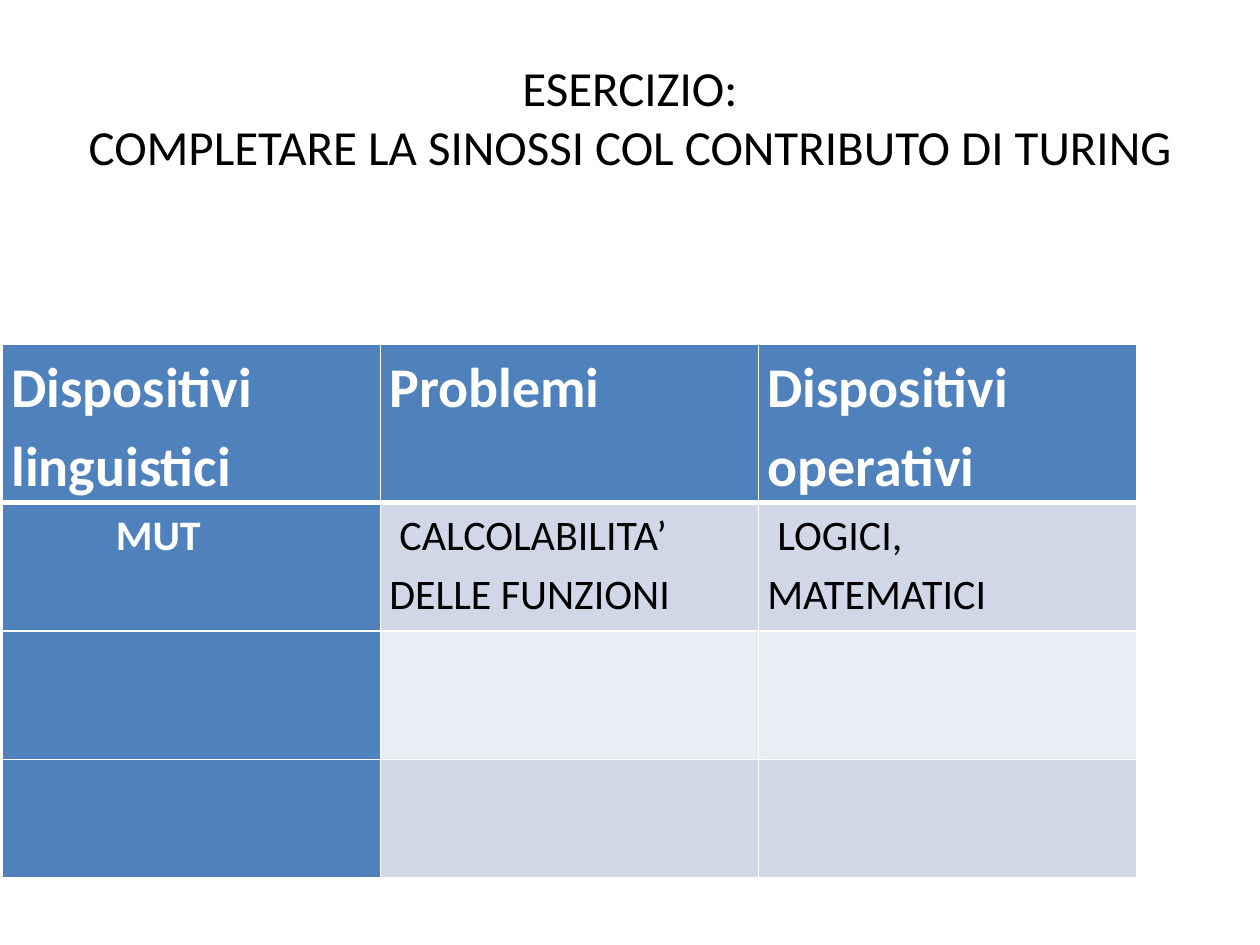
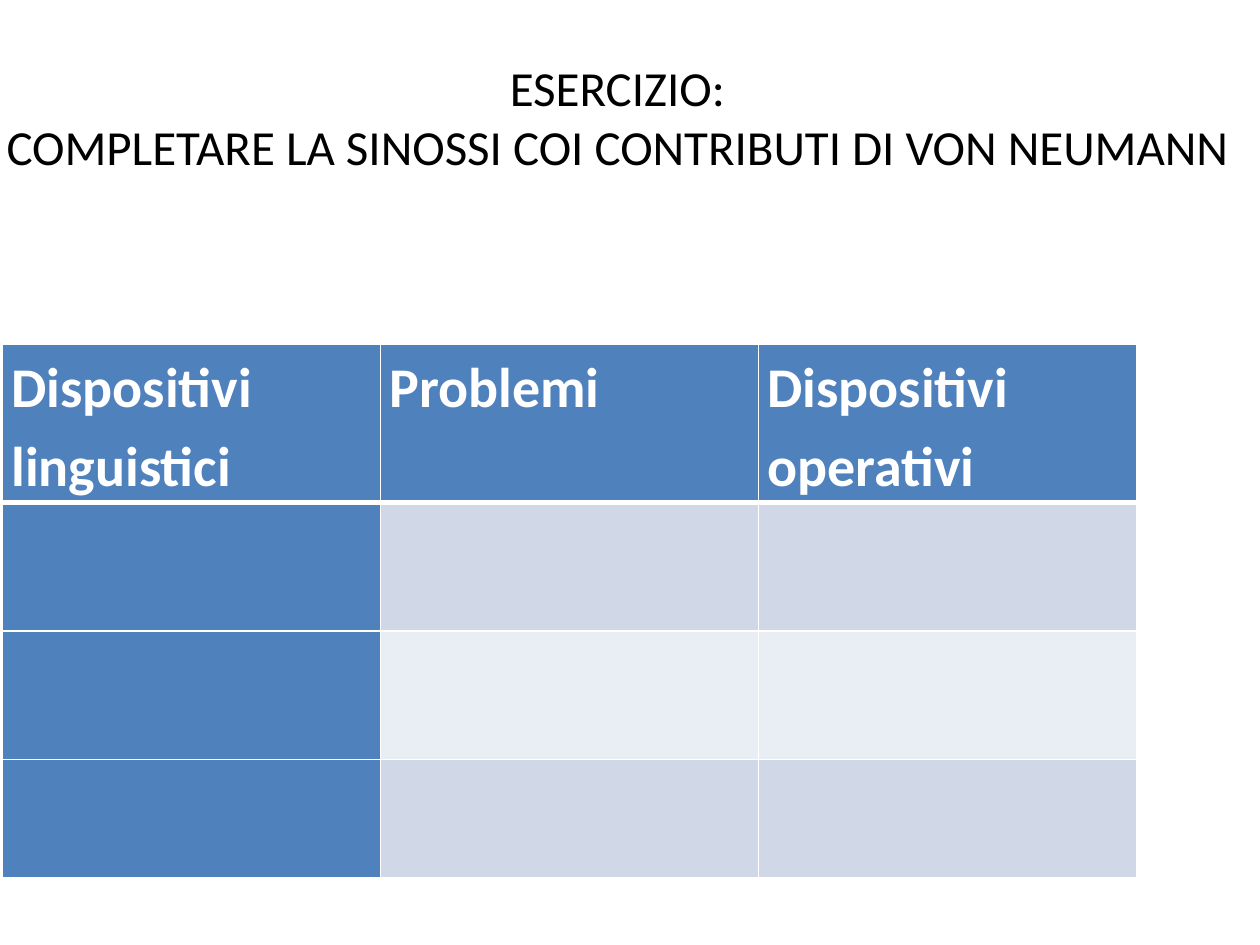
from lxml import etree
from pptx import Presentation
from pptx import util as u
from pptx.dml.color import RGBColor
from pptx.enum import text as t
from pptx.oxml import ns

HUES = {"ink": "000000", "white": "FFFFFF", "blue": "4F81BD",
        "odd": "D0D8E8", "even": "E9EDF4"}
FONT = "Calibri"
HEADS = ["Dispositivi linguistici", "Problemi", "Dispositivi operativi"]
WIDTHS = [3, 3, 3]
HEIGHTS = [1.26, 1.02, 1.02, 0.94]


def color(name):
    return RGBColor.from_string(HUES[name])


class Deck:
    def __init__(self):
        self.prs = Presentation()
        self.prs.slide_width = u.Inches(10)
        self.prs.slide_height = u.Inches(7.5)
        self.slide = None

    def page(self):
        self.slide = self.prs.slides.add_slide(self.prs.slide_layouts[6])
        fill = self.slide.background.fill
        fill.solid()
        fill.fore_color.rgb = color("white")

    def run(self, para, words, size, hue, bold=False):
        font_run = para.add_run()
        font_run.text = words
        font = font_run.font
        font.name, font.size, font.bold = FONT, u.Pt(size), bold
        font.color.rgb = color(hue)

    def title(self, lines, left, width):
        box = self.slide.shapes.add_textbox(
            u.Inches(left), u.Inches(0.3), u.Inches(width), u.Inches(1.25))
        frame = box.text_frame
        frame.word_wrap = True
        frame.vertical_anchor = t.MSO_ANCHOR.MIDDLE
        para = frame.paragraphs[0]
        para.alignment = t.PP_ALIGN.CENTER
        for i, line in enumerate(lines):
            if i:
                para.add_line_break()
            self.run(para, line, 28, "ink")

    def edges(self, cell, row):
        props = cell._tc.get_or_add_tcPr()
        widths = {"L": 1, "R": 1, "T": 3 if row == 1 else 1,
                  "B": 3 if row == 0 else 1}
        for side, width in widths.items():
            line = etree.SubElement(props, ns.qn(f"a:ln{side}"), w=str(u.Pt(width)))
            fill = etree.SubElement(line, ns.qn("a:solidFill"))
            etree.SubElement(fill, ns.qn("a:srgbClr"), val=HUES["white"])

    def cell(self, cell, row, col, words, indent):
        key = row == 0 or col == 0
        self.edges(cell, row)
        cell.fill.solid()
        cell.fill.fore_color.rgb = color(
            "blue" if key else "odd" if row % 2 else "even")
        cell.margin_left = cell.margin_right = u.Inches(0.07)
        cell.margin_top = cell.margin_bottom = 0
        if words:
            para = cell.text_frame.paragraphs[0]
            para.line_spacing = 1.15
            para._p.get_or_add_pPr().set("indent", str(u.Inches(indent)))
            self.run(para, words, 24 if row else 32,
                     "white" if key else "ink", key)

    def table(self, entries, indents):
        grid = self.slide.shapes.add_table(
            len(HEIGHTS), len(WIDTHS), u.Inches(0.02), u.Inches(2.73),
            u.Inches(sum(WIDTHS)), u.Inches(sum(HEIGHTS))).table
        grid.first_row = grid.horz_banding = False
        for col, width in zip(grid.columns, WIDTHS):
            col.width = u.Inches(width)
        texts = {0: HEADS, 1: entries}
        for r, height in enumerate(HEIGHTS):
            grid.rows[r].height = u.Inches(height)
            for c in range(len(WIDTHS)):
                words = texts[r][c] if r in texts else ""
                self.cell(grid.cell(r, c), r, c, words, indents[c] if r else 0)


def main():
    deck = Deck()
    pages = [
        ("COMPLETARE LA SINOSSI COL CONTRIBUTO DI TURING", 0.5, 9,
         ["MUT", "CALCOLABILITA’ DELLE FUNZIONI", "LOGICI, MATEMATICI"]),
        ("COMPLETARE LA SINOSSI COI CONTRIBUTI DI VON NEUMANN", -0.2, 10.2,
         ["", "", ""]),
    ]
    for task, left, width, entries in pages:
        deck.page()
        deck.title(["ESERCIZIO:", task], left, width)
        deck.table(entries, [0.83, 0.08, 0.08])
    deck.prs.save("out.pptx")


if __name__ == "__main__":
    main()
